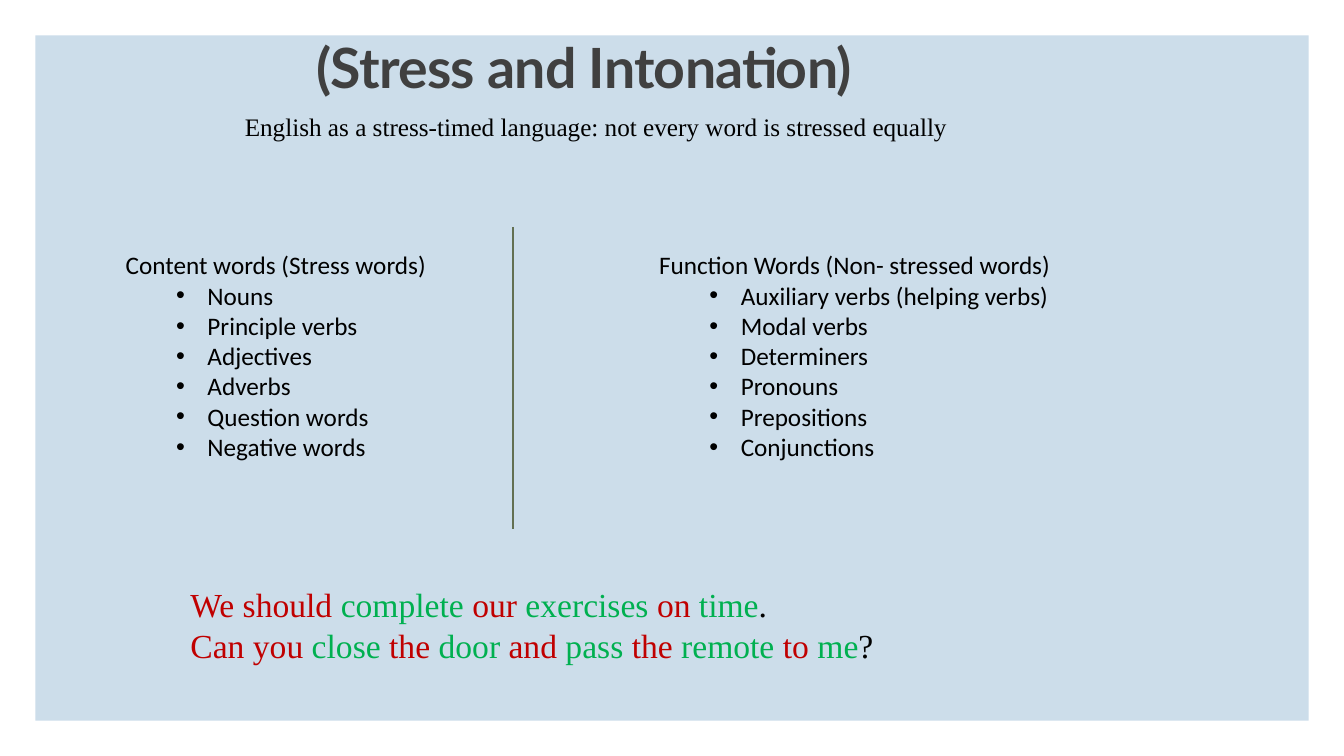
from itertools import cycle

from lxml import etree
from pptx import Presentation
from pptx.dml.color import RGBColor
from pptx.enum.shapes import MSO_CONNECTOR as Link, MSO_SHAPE as Form
from pptx.enum.text import MSO_ANCHOR as Anchor, MSO_AUTO_SIZE as Fit, PP_ALIGN as Align
from pptx.oxml.ns import qn
from pptx.util import Cm, Pt

WIDE, HIGH = 33.87, 19.05
EDGE = 0.89
SERIF = "Times New Roman"
BLACK, RED, GREEN = "000000", "C00000", "00B050"

CONTENT = ["Content words (Stress words)", "Nouns", "Principle verbs",
           "Adjectives", "Adverbs", "Question words", "Negative words"]
FUNCTION = ["Function Words (Non- stressed words)",
            "Auxiliary verbs (helping verbs)", "Modal verbs", "Determiners",
            "Pronouns", "Prepositions", "Conjunctions"]

# Unstressed and stressed parts take turns; the last part is the end mark.
SAMPLES = [
    ["We should ", "complete ", "our ", "exercises ", "on ", "time", "."],
    ["Can you ", "close ", "the ", "door ", "and ", "pass ", "the ",
     "remote ", "to ", "me", "?"],
]


def paint(color, code):
    color.rgb = RGBColor.from_string(code)


def style(run, name, size, code=BLACK):
    run.font.name = name
    run.font.size = Pt(size)
    paint(run.font.color, code)


def add_text(slide, box):
    frame = slide.shapes.add_textbox(*map(Cm, box)).text_frame
    frame.word_wrap = True
    return frame


def add_panel(slide, box):
    panel = slide.shapes.add_shape(Form.RECTANGLE, *map(Cm, box))
    panel.shadow.inherit = False
    panel.fill.solid()
    paint(panel.fill.fore_color, "CCDDEA")
    panel.line.fill.background()


def add_title(slide, box):
    title = slide.shapes.title
    title.left, title.top, title.width, title.height = map(Cm, box)
    frame = title.text_frame
    frame.text = "(Stress and Intonation)"
    frame.auto_size = Fit.NONE
    frame.vertical_anchor = Anchor.MIDDLE
    para = frame.paragraphs[0]
    para.alignment = Align.CENTER
    para.line_spacing = 0.85
    run = para.runs[0]
    style(run, "Lato", 39.6, "404040")
    run.font.bold = True
    run.font._element.set("spc", "-50")


def add_lead(slide, box):
    frame = add_text(slide, box)
    frame.text = ("English as a stress-timed language: "
                  "not every word is stressed equally")
    style(frame.paragraphs[0].runs[0], SERIF, 18)


def add_rule(slide, x, top, end):
    rule = slide.shapes.add_connector(Link.STRAIGHT, Cm(x), Cm(top), Cm(x), Cm(end))
    rule.line.width = Pt(1.5)
    paint(rule.line.color, "637052")
    etree.SubElement(rule._element.spPr, qn("a:effectLst"))


def add_bullet(para):
    para.level = 1
    props = para._p.get_or_add_pPr()
    props.set("marL", str(Cm(2.06)))
    props.set("indent", str(Cm(-0.79)))
    etree.SubElement(props, qn("a:buFont")).set("typeface", "Arial")
    etree.SubElement(props, qn("a:buChar")).set("char", "•")


def add_list(slide, box, lines):
    """Place a heading, the first line, over bulleted items."""
    frame = add_text(slide, box)
    frame.text = "\n".join(lines)
    for i, para in enumerate(frame.paragraphs):
        if i:
            add_bullet(para)
        style(para.runs[0], "Calibri", 18)


def add_samples(slide, box):
    frame = add_text(slide, box)
    for i, parts in enumerate(SAMPLES):
        para = frame.add_paragraph() if i else frame.paragraphs[0]
        for part, code in zip(parts, cycle([RED, GREEN])):
            run = para.add_run()
            run.text = part
            style(run, SERIF, 24, code)
        paint(para.runs[-1].font.color, BLACK)


def main():
    deck = Presentation()
    deck.slide_width, deck.slide_height = Cm(WIDE), Cm(HIGH)
    slide = deck.slides.add_slide(deck.slide_layouts[5])
    add_panel(slide, (EDGE, EDGE, WIDE - 2 * EDGE, HIGH - 2 * EDGE))
    # The title placeholder comes first on a new slide; lift it over the panel.
    slide.shapes._spTree.append(slide.shapes.title._element)
    add_title(slide, (5.59, 0.94, 18.26, 1.73))
    add_rule(slide, 12.93, 5.72, 13.34)
    add_lead(slide, (5.92, 2.67, 19.05, 1.02))
    add_list(slide, (2.92, 6.17, 10.46, 5.64), CONTENT)
    add_list(slide, (16.36, 6.17, 11.63, 5.64), FUNCTION)
    add_samples(slide, (4.55, 14.6, 25.76, 2.31))
    deck.save("out.pptx")


if __name__ == "__main__":
    main()
